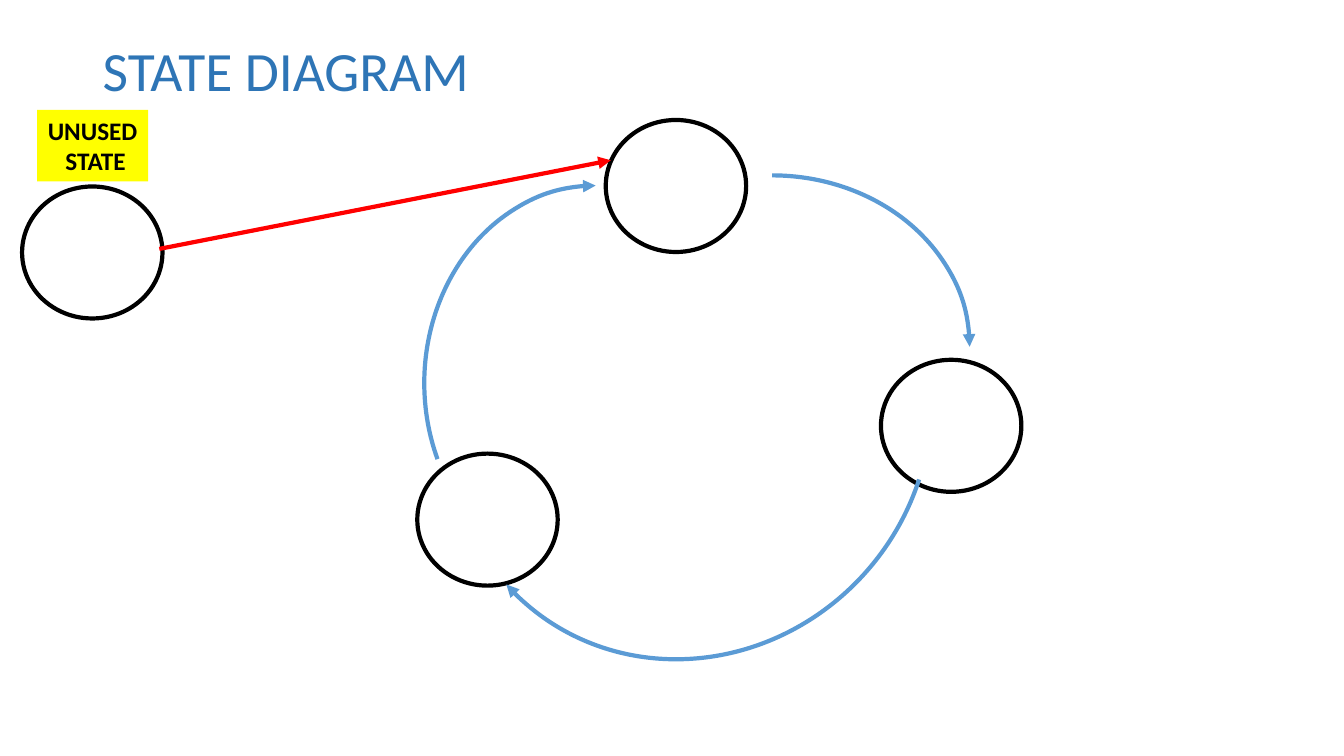
"""Build the state diagram slide with three cycling states and one unused state."""
from lxml.etree import SubElement
from pptx import Presentation
from pptx.dml.color import RGBColor
from pptx.enum.shapes import MSO_CONNECTOR as Connector, MSO_SHAPE as Shape
from pptx.enum.text import MSO_ANCHOR as Anchor, MSO_AUTO_SIZE as AutoSize, PP_ALIGN as Align
from pptx.oxml.ns import qn
from pptx.util import Pt

TITLE = "STATE DIAGRAM"
UNUSED_LABEL = "UNUSED\n STATE"
BLACK, BLUE, RED, YELLOW, TITLE_BLUE = "000000", "5B9BD5", "FF0000", "FFFF00", "2E75B6"
LINE_WIDTH = 3
STATE_SIZE = (100.3, 94.3)
STATE_CORNERS = [(629.3, 257), (432.7, 85.7), (15.8, 133.2), (298.1, 324)]
ARCS = [
    ((410.4, 125.3, 282.2, 244.8), 0, (162, 0)),
    ((284.4, 151.2, 282.2, 244.8), 270, (146.596, 0)),
    ((314.6, 128.9, 356.4, 336.2), 131.2, (146.596, 3.736)),
]
UNUSED_ARROW = (113.8, 177.8, 436.3, 114.5)


def color(value):
    return RGBColor.from_string(value)


def points(values):
    return [Pt(value) for value in values]


def set_line(shape, value):
    shape.line.color.rgb = color(value)
    shape.line.width = Pt(LINE_WIDTH)


def add_arrowhead(shape):
    SubElement(shape.line._get_or_add_ln(), qn("a:tailEnd"), type="triangle")


def add_outline(slide, kind, box, value):
    shape = slide.shapes.add_shape(kind, *points(box))
    shape.shadow.inherit = False
    shape.fill.background()
    set_line(shape, value)
    return shape


def style_text(text_frame, size, value, alignment, bold=False):
    for paragraph in text_frame.paragraphs:
        paragraph.alignment = alignment
        for run in paragraph.runs:
            run.font.name = "Calibri"
            run.font.size = Pt(size)
            run.font.bold = bold
            run.font.color.rgb = color(value)


def add_title(slide):
    title = slide.shapes.title
    title.left, title.top, title.width, title.height = points((66.2, 28.8, 828, 90))
    text_frame = title.text_frame
    text_frame.text = TITLE
    text_frame.auto_size = AutoSize.NONE
    text_frame.vertical_anchor = Anchor.TOP
    text_frame.margin_top = Pt(2)
    text_frame.paragraphs[0].line_spacing = 0.9
    style_text(text_frame, 39.6, TITLE_BLUE, Align.LEFT)


def add_unused_label(slide):
    label = slide.shapes.add_textbox(*points((26.6, 78.5, 79.2, 51.1)))
    label.fill.solid()
    label.fill.fore_color.rgb = color(YELLOW)
    text_frame = label.text_frame
    text_frame.text = UNUSED_LABEL
    text_frame.word_wrap = False
    text_frame.auto_size = AutoSize.SHAPE_TO_FIT_TEXT
    style_text(text_frame, 18, BLACK, Align.CENTER, bold=True)


def main():
    presentation = Presentation()
    presentation.slide_width, presentation.slide_height = Pt(960), Pt(540)
    slide = presentation.slides.add_slide(presentation.slide_layouts[5])
    add_title(slide)
    for corner in STATE_CORNERS:
        add_outline(slide, Shape.OVAL, corner + STATE_SIZE, BLACK)
    for box, rotation, angles in ARCS:
        arc = add_outline(slide, Shape.ARC, box, BLUE)
        arc.rotation = rotation
        for index, angle in enumerate(angles):
            arc.adjustments[index] = angle
        add_arrowhead(arc)
    add_unused_label(slide)
    arrow = slide.shapes.add_connector(Connector.STRAIGHT, *points(UNUSED_ARROW))
    set_line(arrow, RED)
    add_arrowhead(arrow)
    SubElement(arrow._element.spPr, qn("a:effectLst"))
    presentation.save("out.pptx")


if __name__ == "__main__":
    main()
